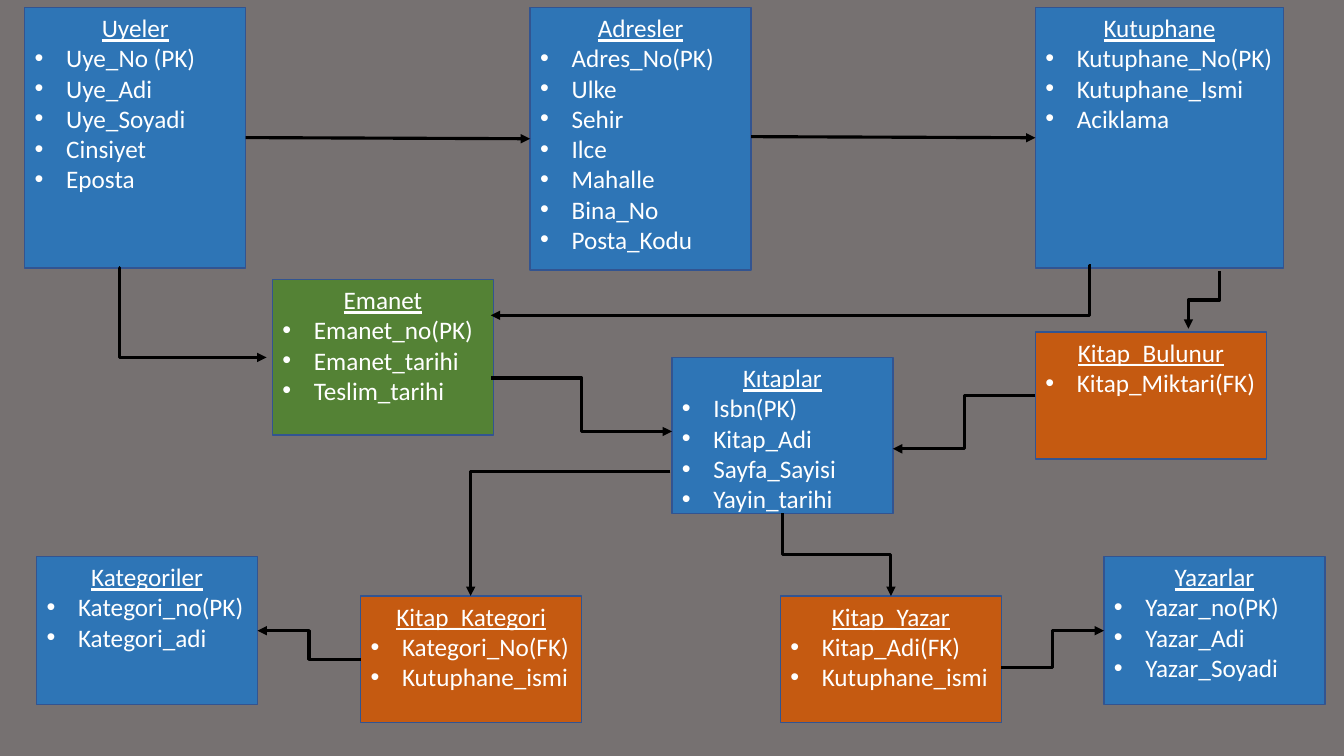
"""Draw the table diagram of a library database."""
from lxml.etree import SubElement
from pptx import Presentation
from pptx.dml.color import RGBColor
from pptx.enum.shapes import MSO_CONNECTOR, MSO_SHAPE
from pptx.enum.text import MSO_ANCHOR, PP_ALIGN
from pptx.oxml.ns import qn
from pptx.util import Pt

BLUE, GREEN, ORANGE = "2E75B6", "548235", "C55A11"
EDGE, WHITE, BLACK, GREY = "325491", "FFFFFF", "000000", "767171"
WIDE, INDENT = 157.8, 22.5

TABLES = [
    ("Uyeler", BLUE, 17.7, 5.3, WIDE, 186.1,
     ["Uye_No (PK)", "Uye_Adi", "Uye_Soyadi", "Cinsiyet", "Eposta"]),
    ("Adresler", BLUE, 378.7, 5.3, WIDE, 187.5,
     ["Adres_No(PK)", "Ulke", "Sehir", "Ilce", "Mahalle", "Bina_No", "Posta_Kodu"]),
    ("Emanet", GREEN, 194.6, 199.6, WIDE, 111.2,
     ["Emanet_no(PK)", "Emanet_tarihi", "Teslim_tarihi"]),
    ("Kategoriler", BLUE, 26.2, 397.6, WIDE, 105.8,
     ["Kategori_no(PK)", "Kategori_adi"]),
    ("Yazarlar", BLUE, 788.6, 397.6, WIDE, 105.8,
     ["Yazar_no(PK)", "Yazar_Adi", "Yazar_Soyadi"]),
    ("Kitap_Kategori", ORANGE, 257.6, 425.7, WIDE, 90.5,
     ["Kategori_No(FK)", "Kutuphane_ismi"]),
    ("Kıtaplar", BLUE, 480, 255.4, WIDE, 111.2,
     ["Isbn(PK)", "Kitap_Adi", "Sayfa_Sayisi", "Yayin_tarihi"]),
    ("Kutuphane", BLUE, 739.6, 5.3, 177.3, 186.1,
     ["Kutuphane_No(PK)", "Kutuphane_Ismi", "Aciklama"]),
    ("Kitap_Yazar", ORANGE, 557.4, 425.7, WIDE, 90.5,
     ["Kitap_Adi(FK)", "Kutuphane_ismi"]),
    ("Kitap_Bulunur", ORANGE, 739.6, 237.2, 165, 90.7,
     ["Kitap_Miktari(FK)"]),
]

LINKS = [
    ("straight", 175.5, 98.3, 378.7, 99.1),
    ("straight", 536.5, 97.6, 739.6, 98.4),
    ("across", 84.7, 191.2, 190.4, 255.3, 0.008),
    ("across", 350.8, 270, 480, 308.2, 0.5),
    ("across", 739.6, 282.4, 637.8, 320.6, 0.5),
    ("across", 779.1, 189.8, 350.6, 225.2, 0.002),
    ("across", 257.6, 471, 184, 450.5, 0.5),
    ("down", 558.9, 366.7, 636.4, 425.7, 0.5),
    ("across", 715.2, 476.6, 788.6, 450.5, 0.5),
    ("corner", 478.8, 336.6, 336.2, 425.7),
    ("down", 871.2, 193.8, 848.9, 234.8, 0.5),
]


def color(code):
    return RGBColor.from_string(code)


def write(para, text, under=False):
    run = para.add_run()
    run.text = text
    font = run.font
    font.name, font.size, font.underline = "Calibri", Pt(18), under
    font.color.rgb = color(WHITE)


def bullet(para):
    props = para._p.get_or_add_pPr()
    props.set("marL", str(Pt(INDENT)))
    props.set("indent", str(-Pt(INDENT)))
    SubElement(props, qn("a:buFont"), typeface="Arial")
    SubElement(props, qn("a:buChar"), char="•")


def add_box(slide, title, fill, left, top, width, height, fields):
    box = slide.shapes.add_shape(
        MSO_SHAPE.RECTANGLE, Pt(left), Pt(top), Pt(width), Pt(height))
    box.shadow.inherit = False
    box.fill.solid()
    box.fill.fore_color.rgb = color(fill)
    box.line.color.rgb = color(EDGE)
    box.line.width = Pt(1)
    frame = box.text_frame
    frame.word_wrap = True
    frame.vertical_anchor = MSO_ANCHOR.TOP
    head = frame.paragraphs[0]
    head.alignment = PP_ALIGN.CENTER
    write(head, title, True)
    for field in fields:
        para = frame.add_paragraph()
        para.alignment = PP_ALIGN.LEFT
        bullet(para)
        write(para, field)


def add_link(slide, kind, x1, y1, x2, y2, bend=None):
    if kind == "down":
        midx, midy = (x1 + x2) / 2, (y1 + y2) / 2
        halfx, halfy = (x2 - x1) / 2, (y2 - y1) / 2
        x1, y1, x2, y2 = midx - halfy, midy + halfx, midx + halfy, midy - halfx
    form = MSO_CONNECTOR.STRAIGHT if kind == "straight" else MSO_CONNECTOR.ELBOW
    link = slide.shapes.add_connector(form, Pt(x1), Pt(y1), Pt(x2), Pt(y2))
    link.line.color.rgb = color(BLACK)
    link.line.width = Pt(2.25)
    props = link._element.spPr
    SubElement(link.line._get_or_add_ln(), qn("a:tailEnd"), type="triangle")
    SubElement(props, qn("a:effectLst"))
    shape = props.find(qn("a:prstGeom"))
    if kind == "down":
        props.find(qn("a:xfrm")).set("rot", "5400000")
    if kind == "corner":
        shape.set("prst", "bentConnector2")
    if bend is not None:
        guides = shape.find(qn("a:avLst"))
        SubElement(guides, qn("a:gd"), name="adj1", fmla=f"val {round(bend * 100000)}")


deck = Presentation()
deck.slide_width, deck.slide_height = Pt(960), Pt(540)
slide = deck.slides.add_slide(deck.slide_layouts[6])
back = slide.background.fill
back.solid()
back.fore_color.rgb = color(GREY)
for table in TABLES:
    add_box(slide, *table)
for link in LINKS:
    add_link(slide, *link)
deck.save("out.pptx")
